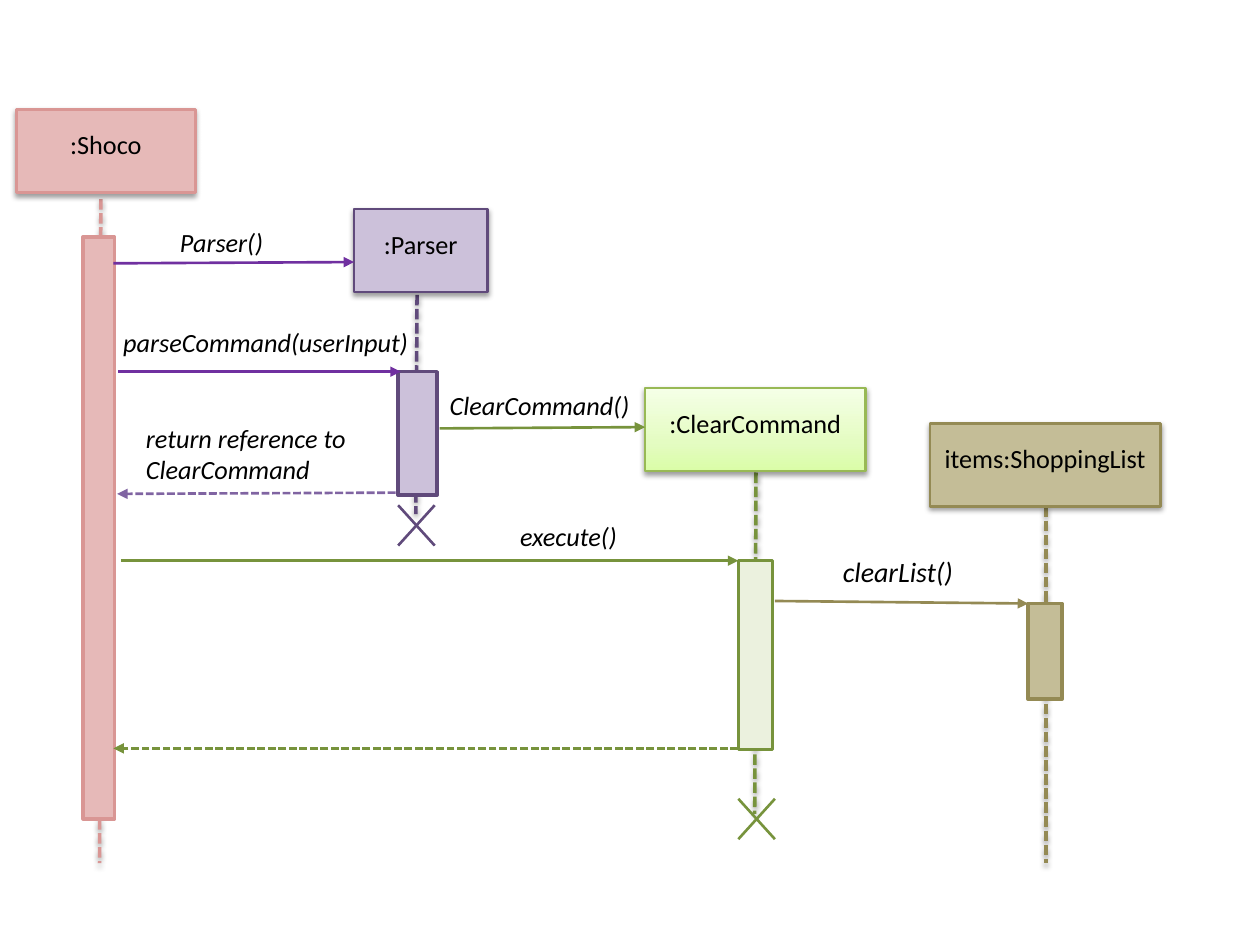
from lxml.etree import SubElement
from pptx import Presentation
from pptx.dml.color import RGBColor
from pptx.enum.dml import MSO_LINE
from pptx.enum.shapes import MSO_CONNECTOR, MSO_SHAPE
from pptx.enum.text import MSO_ANCHOR, PP_ALIGN
from pptx.oxml import parse_xml
from pptx.oxml.ns import nsdecls, qn
from pptx.util import Inches, Pt

COLORS = {
    "rose": "E6B9B8", "rose_edge": "D99694",
    "lilac": "CCC1DA", "lilac_edge": "604A7B",
    "violet": "7030A0", "mauve": "8064A2",
    "leaf": "EBF1DE", "leaf_edge": "98B955", "green": "77933C",
    "sand": "C4BD97", "sand_edge": "948A54",
    "ink": "000000",
}
LIME_STOPS = [(0, "DAFDA7"), (35, "E4FCC2"), (100, "F5FFE7")]


class SequenceDiagram:
    """Holds the style and the page of a sequence diagram."""

    font = "Calibri"
    thin, thick = 1.5, 2
    head_height = 0.66

    def __init__(self, page):
        self.page = page

    def color(self, name):
        """Return a named colour."""
        return RGBColor.from_string(COLORS[name])

    def effect(self, item, shadow):
        """Give an item a soft shadow below, or none at all."""
        effects = SubElement(item.element.spPr, qn("a:effectLst"))
        if shadow:
            effects.append(parse_xml(
                f'<a:outerShdw {nsdecls("a")} blurRad="{Pt(3.1)}" dist="{Pt(1.6)}" '
                f'dir="5400000" rotWithShape="0"><a:srgbClr val="{COLORS["ink"]}">'
                '<a:alpha val="38000"/></a:srgbClr></a:outerShdw>'))

    def gradient(self, box, stops):
        """Fill a box with an upward gradient of any number of stops."""
        box.fill.gradient()
        fill = box.element.spPr.find(qn("a:gradFill"))
        marks = "".join(f'<a:gs pos="{place * 1000}"><a:srgbClr val="{value}"/></a:gs>'
                        for place, value in stops)
        fill.getparent().replace(fill, parse_xml(
            f'<a:gradFill {nsdecls("a")} rotWithShape="1"><a:gsLst>{marks}</a:gsLst>'
            '<a:lin ang="16200000" scaled="0"/></a:gradFill>'))

    def set_text(self, item, text, size, italic, align):
        """Put one styled paragraph into an item."""
        frame = item.text_frame
        frame.word_wrap = True
        frame.vertical_anchor = MSO_ANCHOR.TOP
        frame.text = text
        para = frame.paragraphs[0]
        para.alignment = align
        font = para.runs[0].font
        font.name, font.size, font.italic = self.font, Pt(size), italic
        font.color.rgb = self.color("ink")

    def box(self, left, top, width, height, fill, edge, weight, shadow=False):
        """Draw a rectangle; fill is a colour name or a list of stops."""
        box = self.page.shapes.add_shape(
            MSO_SHAPE.RECTANGLE, *map(Inches, (left, top, width, height)))
        if isinstance(fill, str):
            box.fill.solid()
            box.fill.fore_color.rgb = self.color(fill)
        else:
            self.gradient(box, fill)
        box.line.color.rgb = self.color(edge)
        box.line.width = Pt(weight)
        self.effect(box, shadow)
        return box

    def head(self, text, left, top, width, fill, edge):
        """Draw the named box at the top of a lifeline."""
        box = self.box(left, top, width, self.head_height, fill, edge, self.thin, True)
        box.text_frame.margin_top = Inches(0.15)
        self.set_text(box, text, 15, False, PP_ALIGN.CENTER)

    def bar(self, left, top, width, height, fill, edge):
        """Draw an activation bar."""
        self.box(left, top, width, height, fill, edge, self.thick)

    def line(self, start, end, color, weight=thin, dashed=False, shadow=False):
        """Draw a straight line between two points."""
        line = self.page.shapes.add_connector(
            MSO_CONNECTOR.STRAIGHT, *map(Inches, (*start, *end)))
        line.line.color.rgb = self.color(color)
        line.line.width = Pt(weight)
        if dashed:
            line.line.dash_style = MSO_LINE.SQUARE_DOT
        self.effect(line, shadow)
        return line

    def lifeline(self, start, end, color):
        """Draw a dashed lifeline."""
        self.line(start, end, color, self.thick, dashed=True, shadow=True)

    def message(self, start, end, color, dashed=False):
        """Draw an arrow from one participant to another."""
        arrow = self.line(start, end, color, dashed=dashed)
        SubElement(arrow.element.spPr.find(qn("a:ln")), qn("a:tailEnd"), type="triangle")

    def cross(self, left, top, color):
        """Mark the end of a lifeline."""
        right, bottom = left + 0.29, top + 0.32
        self.line((left, top), (right, bottom), color)
        self.line((right, top), (left, bottom), color)

    def label(self, text, left, top, width, height=0.35, size=15):
        """Add the name of a message."""
        label = self.page.shapes.add_textbox(*map(Inches, (left, top, width, height)))
        self.set_text(label, text, size, True, PP_ALIGN.LEFT)


deck = Presentation()
deck.slide_width, deck.slide_height = Inches(10), Inches(7.5)
diagram = SequenceDiagram(deck.slides.add_slide(deck.slide_layouts[6]))

LIFELINES = [
    ((0.8, 1.58), (0.79, 6.85), "rose_edge"),
    ((3.31, 2.34), (3.3, 4.08), "lilac_edge"),
    ((6, 3.75), (5.99, 6.46), "green"),
    ((8.3, 4.02), (8.3, 6.85), "sand_edge"),
]
HEADS = [
    (":Shoco", 0.13, 0.87, 1.42, "rose", "rose_edge"),
    (":Parser", 2.81, 1.66, 1.06, "lilac", "lilac_edge"),
    (":ClearCommand", 5.12, 3.08, 1.75, LIME_STOPS, "leaf_edge"),
    ("items:ShoppingList", 7.38, 3.36, 1.83, "sand", "sand_edge"),
]
BARS = [
    (0.66, 1.88, 0.25, 4.62, "rose", "rose_edge"),
    (3.16, 2.95, 0.31, 0.98, "lilac", "lilac_edge"),
    (5.86, 4.45, 0.27, 1.5, "leaf", "green"),
    (8.16, 4.79, 0.27, 0.76, "sand", "sand_edge"),
]
MESSAGES = [
    ((0.9, 2.09), (2.81, 2.08), "violet"),
    ((0.94, 2.95), (3.18, 2.95), "violet"),
    ((3.49, 3.4), (5.12, 3.39), "green"),
    ((3.14, 3.91), (0.93, 3.92), "mauve", True),
    ((0.96, 4.45), (5.86, 4.45), "green"),
    ((6.15, 4.77), (8.16, 4.79), "sand_edge"),
    ((5.86, 5.94), (0.9, 5.94), "green", True),
]
CROSSES = [(3.16, 4.01, "lilac_edge"), (5.86, 6.34, "green")]
LABELS = [
    ("Parser()", 1.33, 1.75, 1.29),
    ("parseCommand(userInput)", 0.88, 2.54, 2.73),
    ("ClearCommand()", 3.47, 3.04, 2.28),
    ("return reference to ClearCommand", 1.06, 3.3, 1.87, 0.61),
    ("execute()", 4.03, 4.08, 0.97),
    ("clearList()", 6.59, 4.35, 1.09, 0.37, 16),
]

for draw, rows in [
    (diagram.lifeline, LIFELINES),
    (diagram.head, HEADS),
    (diagram.bar, BARS),
    (diagram.message, MESSAGES),
    (diagram.cross, CROSSES),
    (diagram.label, LABELS),
]:
    for row in rows:
        draw(*row)

deck.save("out.pptx")
